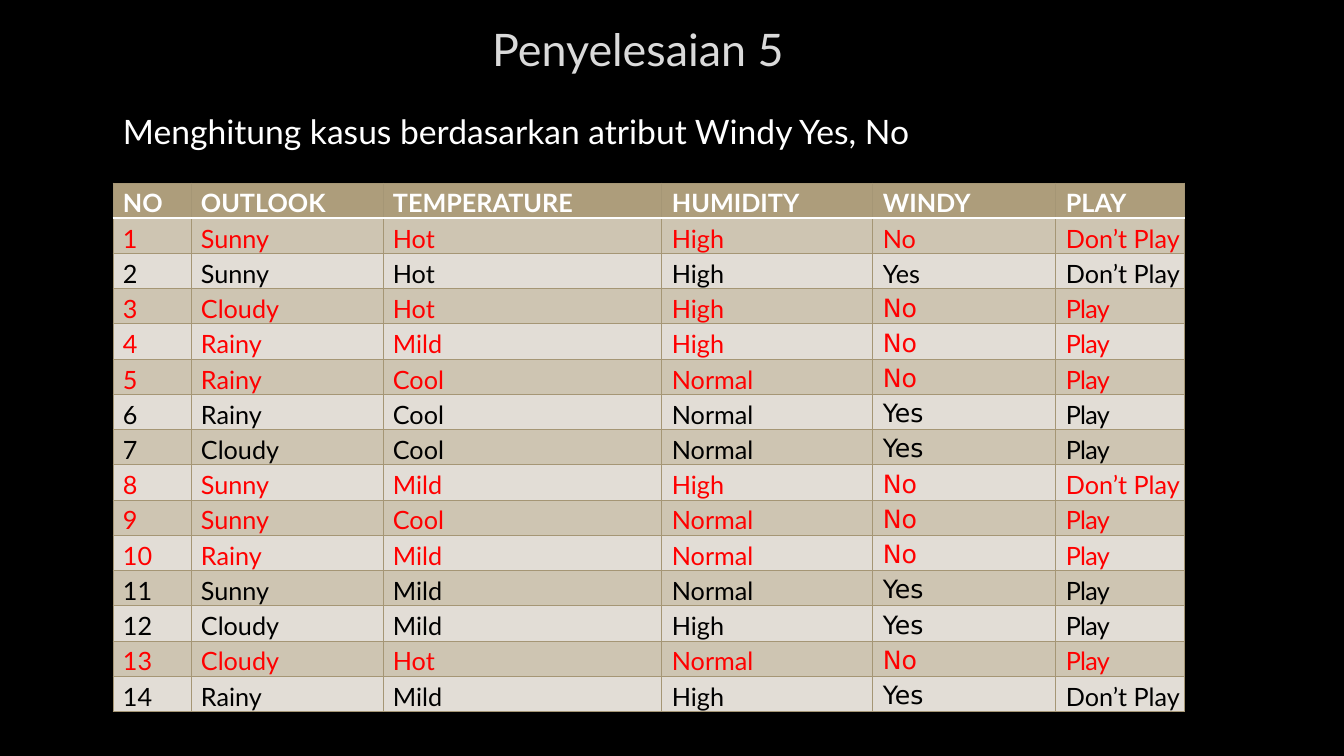
from dataclasses import dataclass

from lxml import etree
from pptx import Presentation
from pptx.dml.color import RGBColor
from pptx.enum.text import MSO_ANCHOR, MSO_AUTO_SIZE, PP_ALIGN
from pptx.oxml.ns import qn
from pptx.util import Pt

CENTER = PP_ALIGN.CENTER
LEFT = PP_ALIGN.LEFT
MIDDLE = MSO_ANCHOR.MIDDLE
NO_AUTOFIT = MSO_AUTO_SIZE.NONE
TITLE_ONLY = 5
EMU_PER_PX = 914400 / 100.8


@dataclass(frozen=True)
class Theme:
    """Colours, fonts and type sizes of the slide."""
    background: str = "000000"
    title: str = "DADADA"
    light: str = "FFFFFF"
    dark: str = "000000"
    highlight: str = "FF0000"
    header: str = "AD9D7B"
    band_odd: str = "CEC5B2"
    band_even: str = "E2DDD6"
    grid: str = "A59675"
    font: str = "Lato"
    alt_font: str = "DejaVu Sans"
    title_size: int = 32
    lead_size: int = 24
    table_size: int = 18
    grid_width: float = 0.75
    header_rule: float = 1.25


THEME = Theme()
HEADERS = ["NO", "OUTLOOK", "TEMPERATURE", "HUMIDITY", "WINDY", "PLAY"]
COL_WIDTHS = [78, 192, 279, 211, 183, 129]
ROW_HEIGHT = 35
WINDY = HEADERS.index("WINDY")
FIRST_ALT_ROW = 3
CASES = [
    ("Sunny", "Hot", "High", "No", "Don’t Play"),
    ("Sunny", "Hot", "High", "Yes", "Don’t Play"),
    ("Cloudy", "Hot", "High", "No", "Play"),
    ("Rainy", "Mild", "High", "No", "Play"),
    ("Rainy", "Cool", "Normal", "No", "Play"),
    ("Rainy", "Cool", "Normal", "Yes", "Play"),
    ("Cloudy", "Cool", "Normal", "Yes", "Play"),
    ("Sunny", "Mild", "High", "No", "Don’t Play"),
    ("Sunny", "Cool", "Normal", "No", "Play"),
    ("Rainy", "Mild", "Normal", "No", "Play"),
    ("Sunny", "Mild", "Normal", "Yes", "Play"),
    ("Cloudy", "Mild", "High", "Yes", "Play"),
    ("Cloudy", "Hot", "Normal", "No", "Play"),
    ("Rainy", "Mild", "High", "Yes", "Don’t Play"),
]


def px(n):
    """Turn whole pixels into EMU."""
    return round(n * EMU_PER_PX)


def rgb(value):
    """Make a colour from its hex string."""
    return RGBColor.from_string(value)


def add_run(p, text, size, color, font=THEME.font, bold=False):
    """Append a formatted run to a paragraph."""
    r = p.add_run()
    r.text = text
    r.font.name = font
    r.font.size = Pt(size)
    r.font.bold = bold
    r.font.color.rgb = rgb(color)
    return r


def add_title(slide, text, x, y, w, h):
    """Fill and place the title placeholder."""
    sp = slide.shapes.title
    sp.left, sp.top, sp.width, sp.height = map(px, (x, y, w, h))
    tf = sp.text_frame
    tf.auto_size = NO_AUTOFIT
    tf.vertical_anchor = MIDDLE
    p = tf.paragraphs[0]
    p.alignment = CENTER
    add_run(p, text, THEME.title_size, THEME.title)


def add_lead(slide, text, x, y, w, h):
    """Add the line of text above the table."""
    sp = slide.shapes.add_textbox(*map(px, (x, y, w, h)))
    tf = sp.text_frame
    tf.word_wrap = True
    p = tf.paragraphs[0]
    p.alignment = LEFT
    add_run(p, text, THEME.lead_size, THEME.light)


def set_border(cell, side, color, width):
    """Draw one side of a cell, side being L, R, T or B."""
    ln = etree.SubElement(cell._tc.get_or_add_tcPr(), qn(f"a:ln{side}"), w=str(Pt(width)))
    fill = etree.SubElement(ln, qn("a:solidFill"))
    etree.SubElement(fill, qn("a:srgbClr"), val=color)


def fill_cell(cell, text, row, fill, color, font):
    """Write and format one table cell."""
    cell.margin_left, cell.margin_top = px(10), px(5)
    cell.margin_right = cell.margin_bottom = 0
    for side in "LRTB":
        if (row, side) in ((0, "B"), (1, "T")):
            set_border(cell, side, THEME.light, THEME.header_rule)
        else:
            set_border(cell, side, THEME.grid, THEME.grid_width)
    cell.fill.solid()
    cell.fill.fore_color.rgb = rgb(fill)
    p = cell.text_frame.paragraphs[0]
    r = add_run(p, text, THEME.table_size, color, font, bold=row == 0)
    if text == "Play":
        r.font._element.set("spc", "-50")


def add_case_table(slide, x, y):
    """Add the table of cases, with the calm days highlighted."""
    rows = [HEADERS] + [(str(i), *case) for i, case in enumerate(CASES, 1)]
    frame = slide.shapes.add_table(len(rows), len(HEADERS), px(x), px(y),
                                   px(sum(COL_WIDTHS)), px(ROW_HEIGHT * len(rows)))
    table = frame.table
    for column, width in zip(table.columns, COL_WIDTHS):
        column.width = px(width)
    for i, values in enumerate(rows):
        table.rows[i].height = px(ROW_HEIGHT)
        if i == 0:
            fill, color = THEME.header, THEME.light
        else:
            fill = THEME.band_odd if i % 2 else THEME.band_even
            color = THEME.highlight if values[WINDY] == "No" else THEME.dark
        for j, text in enumerate(values):
            alt = j == WINDY and i >= FIRST_ALT_ROW
            font = THEME.alt_font if alt else THEME.font
            fill_cell(table.cell(i, j), text, i, fill, color, font)


def main():
    """Build the slide and save it."""
    prs = Presentation()
    prs.slide_width, prs.slide_height = px(1344), px(756)
    slide = prs.slides.add_slide(prs.slide_layouts[TITLE_ONLY])
    slide.background.fill.solid()
    slide.background.fill.fore_color.rgb = rgb(THEME.background)
    add_title(slide, "Penyelesaian 5", 113, 27, 1050, 43)
    add_case_table(slide, 113, 183)
    add_lead(slide, "Menghitung kasus berdasarkan atribut Windy Yes, No",
             113, 106, 1112, 50)
    prs.save("out.pptx")


if __name__ == "__main__":
    main()
